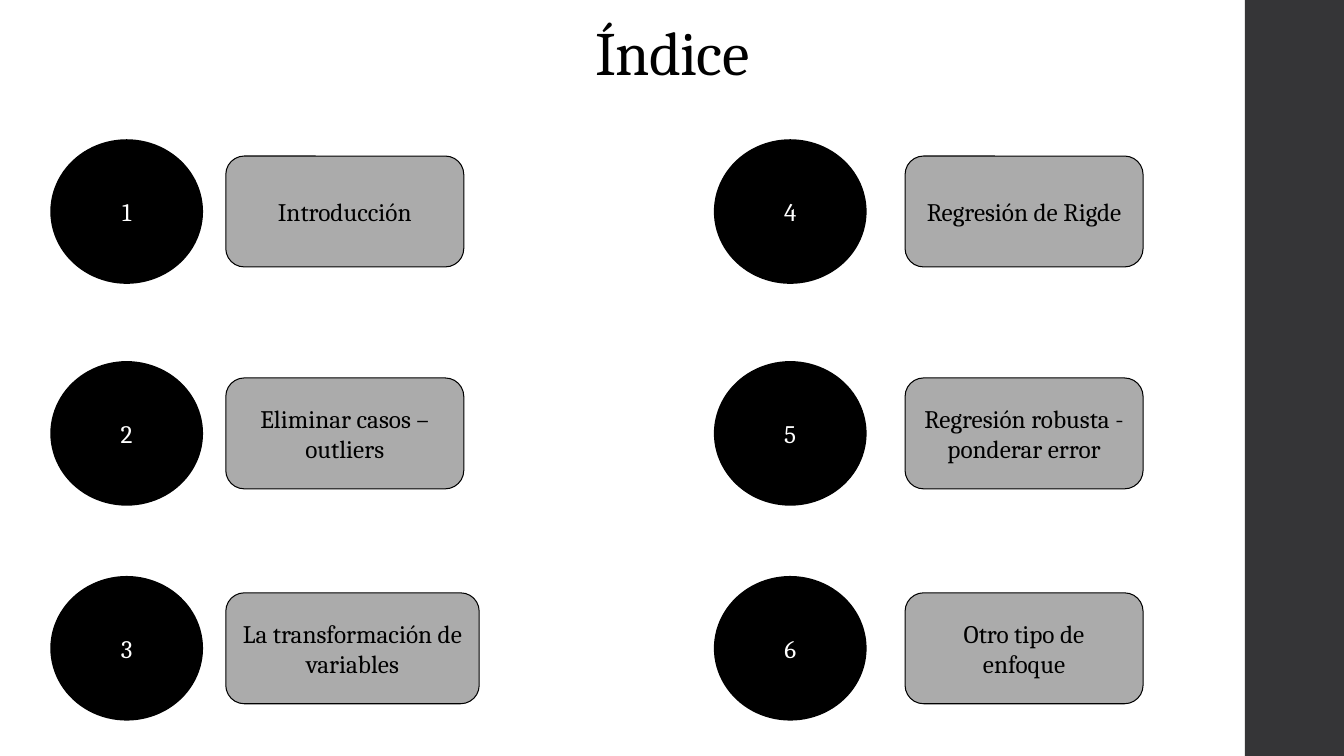
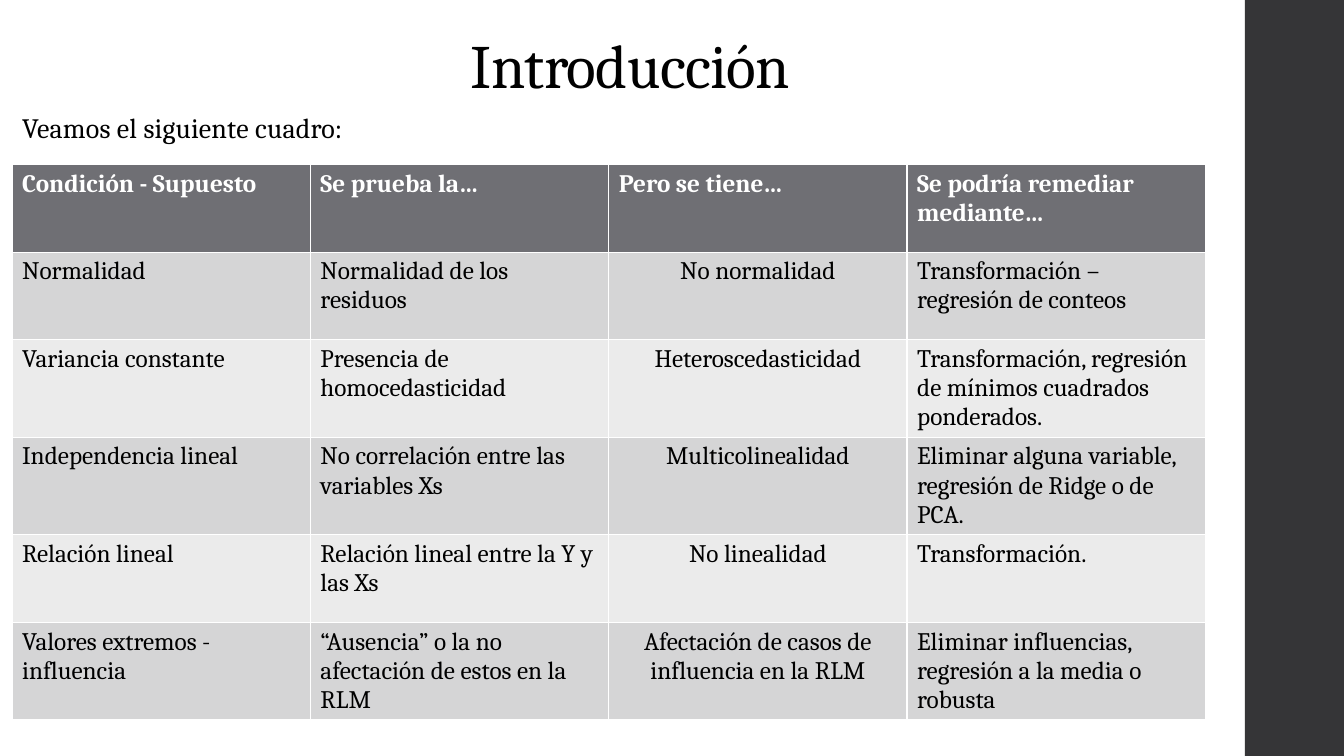
"""Build the index and the table of assumptions of a regression talk."""
from pptx import Presentation
from pptx.dml.color import RGBColor
from pptx.enum.shapes import MSO_SHAPE as Form
from pptx.enum.text import MSO_ANCHOR as Anchor, MSO_AUTO_SIZE as Fit, PP_ALIGN as Align
from pptx.oxml.xmlchemy import OxmlElement as Tag
from pptx.util import Pt

BLACK = RGBColor(0x00, 0x00, 0x00)
WHITE = RGBColor(0xFF, 0xFF, 0xFF)
BAND = RGBColor(0x35, 0x35, 0x37)
GRAY = RGBColor(0xAB, 0xAB, 0xAB)
HEAD = RGBColor(0x6F, 0x6F, 0x74)
DARK = RGBColor(0xD5, 0xD5, 0xD6)
PALE = RGBColor(0xEB, 0xEB, 0xEB)


def write(frame, text, size=18, color=BLACK, align=Align.LEFT, bold=False,
          anchor=Anchor.TOP, lead=1.0, space=0):
    frame.word_wrap = True
    frame.vertical_anchor = anchor
    para = frame.paragraphs[0]
    para.alignment = align
    para.line_spacing = lead
    para.space_before = Pt(0)
    run = para.add_run()
    run.text = text
    font = run.font
    font.name, font.size, font.bold = "Cambria", Pt(size), bold
    font.color.rgb = color
    if space:
        font._element.set("spc", str(space))


def draw(slide, form, box, fill, line=None, width=0.75):
    shape = slide.shapes.add_shape(form, *map(Pt, box))
    shape.shadow.inherit = False
    shape.fill.solid()
    shape.fill.fore_color.rgb = fill
    if line is None:
        shape.line.fill.background()
    else:
        shape.line.color.rgb = line
        shape.line.width = Pt(width)
    return shape


deck = Presentation()
deck.slide_width, deck.slide_height = Pt(960), Pt(540)

index = deck.slides.add_slide(deck.slide_layouts[5])
intro = deck.slides.add_slide(deck.slide_layouts[1])

band = draw(index, Form.RECTANGLE, (889.2, 0, 72, 540), BAND)
deck.slide_master.shapes._spTree.insert(2, band._element)

for slide, text, box in (
    (index, "Índice", (98.6, 0, 763.2, 67)),
    (intro, "Introducción", (28.8, 9.4, 843.1, 67)),
):
    title = slide.shapes.title
    title.left, title.top, title.width, title.height = map(Pt, box)
    title.text_frame.auto_size = Fit.NONE
    write(title.text_frame, text, size=44, align=Align.CENTER,
          anchor=Anchor.BOTTOM, lead=0.9, space=-50)

topics = [
    "Introducción",
    "Eliminar casos – outliers",
    "La transformación de variables",
    "Regresión de Rigde",
    "Regresión robusta - ponderar error",
    "Otro tipo de enfoque",
]
tops = (100, 258.5, 412)
sides = ((36.5, 161.3), (510.5, 646.5))
for num, topic in enumerate(topics):
    col, row = divmod(num, len(tops))
    left, label = sides[col]
    top = tops[row]
    disc = draw(index, Form.OVAL, (left, top, 108, 102.2), BLACK, BLACK, 1.1)
    write(disc.text_frame, str(num + 1), color=WHITE,
          align=Align.CENTER, anchor=Anchor.MIDDLE)
    wide = 181 if num == 2 else 170
    card = draw(index, Form.ROUNDED_RECTANGLE, (label, top + 11.5, wide, 79.2), GRAY, BLACK)
    write(card.text_frame, topic, align=Align.CENTER, anchor=Anchor.MIDDLE)

body = intro.placeholders[1]
body.left, body.top, body.width, body.height = map(Pt, (8.6, 77, 852.5, 99.4))
body.text_frame.auto_size = Fit.NONE
write(body.text_frame, "Veamos el siguiente cuadro:", size=20, lead=0.95, space=10)
props = body.text_frame.paragraphs[0]._p.get_or_add_pPr()
props.set("marL", "0")
props.set("indent", "0")
props.append(Tag("a:buNone"))

rows = [
    ("Condición - Supuesto", "Se prueba la…", "Pero se tiene…",
     "Se podría remediar mediante…"),
    ("Normalidad", "Normalidad de los residuos", "No normalidad",
     "Transformación – regresión de conteos"),
    ("Variancia constante", "Presencia de homocedasticidad", "Heteroscedasticidad",
     "Transformación, regresión de mínimos cuadrados ponderados."),
    ("Independencia lineal", "No correlación entre las variables Xs", "Multicolinealidad",
     "Eliminar alguna variable, regresión de Ridge o de PCA."),
    ("Relación lineal", "Relación lineal entre la Y y las Xs", "No linealidad",
     "Transformación."),
    ("Valores extremos - influencia", "“Ausencia” o la no afectación de estos en la RLM",
     "Afectación de casos de influencia en la RLM",
     "Eliminar influencias, regresión a la media o robusta"),
]
frame = intro.shapes.add_table(len(rows), 4, Pt(8.6), Pt(117.5), Pt(852.5), Pt(375.8))
for r, texts in enumerate(rows):
    top = r == 0
    fill = HEAD if top else DARK if r % 2 else PALE
    for c, text in enumerate(texts):
        cell = frame.table.cell(r, c)
        cell.fill.solid()
        cell.fill.fore_color.rgb = fill
        write(cell.text_frame, text, color=WHITE if top else BLACK, bold=top,
              align=Align.CENTER if c == 2 and not top else Align.LEFT)

deck.save("out.pptx")
